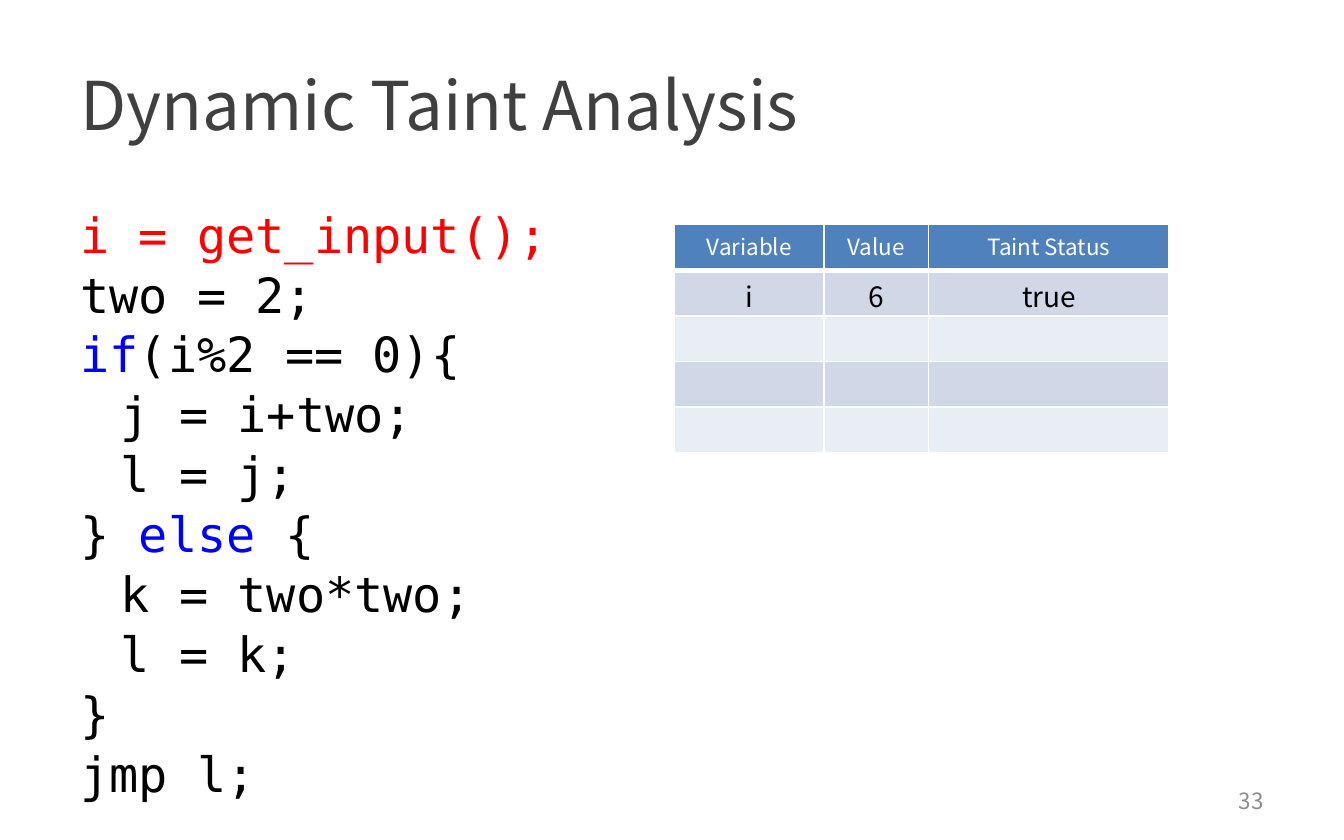
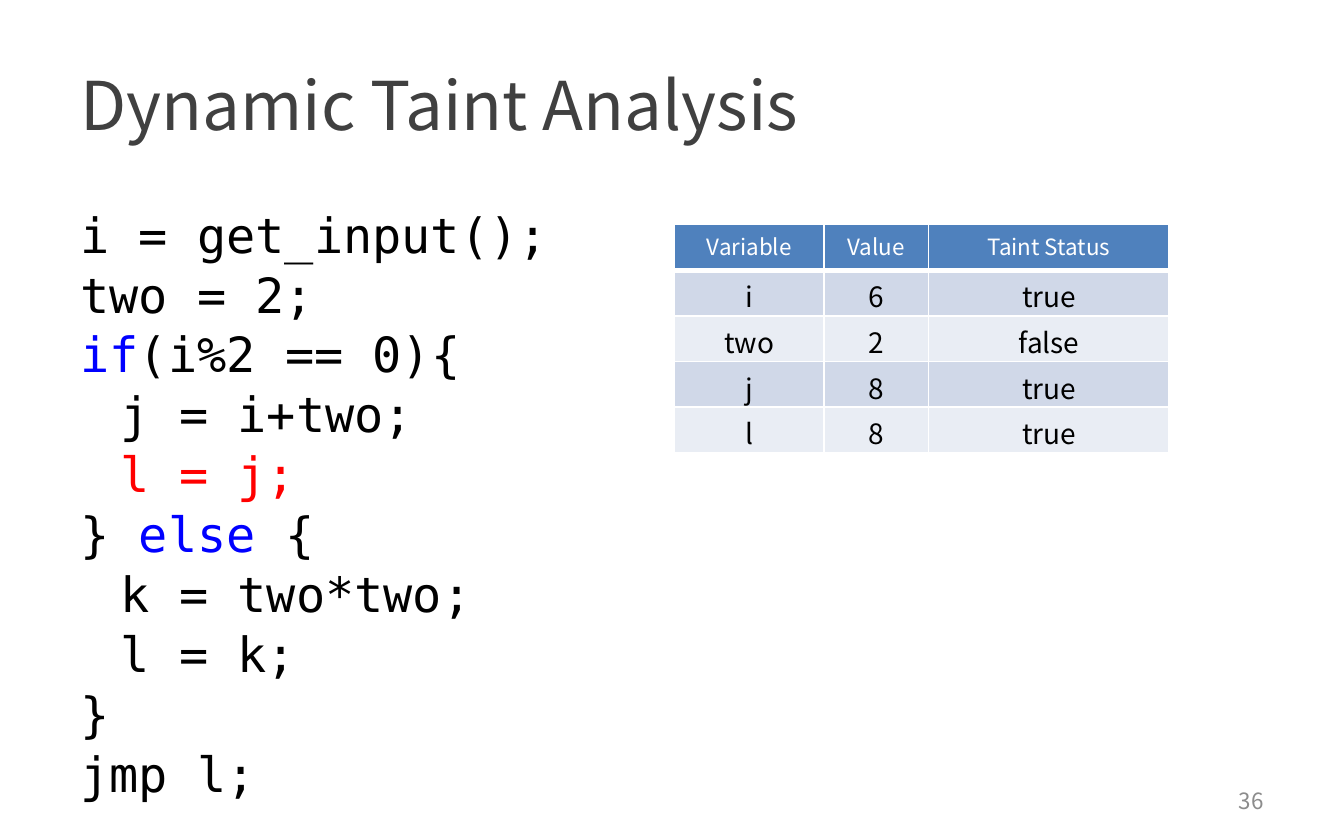
"""Build two steps of a dynamic taint analysis walkthrough: code beside its variable table."""
from lxml import etree
from pptx import Presentation
from pptx.dml.color import RGBColor
from pptx.enum.text import MSO_ANCHOR, PP_ALIGN
from pptx.oxml.ns import qn
from pptx.util import Inches, Pt

LEFT, RIGHT, CENTER = PP_ALIGN.LEFT, PP_ALIGN.RIGHT, PP_ALIGN.CENTER
TOP, MIDDLE = MSO_ANCHOR.TOP, MSO_ANCHOR.MIDDLE

WHITE = RGBColor(0xFF, 0xFF, 0xFF)
BLACK = RGBColor(0x00, 0x00, 0x00)
TITLE_GRAY = RGBColor(0x40, 0x40, 0x40)
NUMBER_GRAY = RGBColor(0x8C, 0x8C, 0x8C)
CURRENT_RED = RGBColor(0xFF, 0x00, 0x00)
KEYWORD_BLUE = RGBColor(0x00, 0x00, 0xFF)
HEADER_BLUE = RGBColor(0x4F, 0x81, 0xBD)
BANDS = [RGBColor(0xD0, 0xD8, 0xE8), RGBColor(0xE9, 0xED, 0xF4)]

SANS, MONO = "Noto Sans CJK SC", "DejaVu Sans Mono"
MARGIN = 0.5
INDENT = Inches(0.3)
COLUMNS = [1.11, 0.78, 1.79]
ROW_HEIGHT = 0.34

HEADER = ["Variable", "Value", "Taint Status"]
CODE = [
    (0, ["i = get_input();"]),
    (0, ["two = 2;"]),
    (0, ["if", "(i%2 == 0){"]),
    (1, ["j = i+two;"]),
    (1, ["l = j;"]),
    (0, ["} ", "else", " {"]),
    (1, ["k = two*two;"]),
    (1, ["l = k;"]),
    (0, ["}"]),
    (0, ["jmp l;"]),
]
KEYWORDS = {"if", "else"}
STATES = [["i", "6", "true"], ["two", "2", "false"], ["j", "8", "true"], ["l", "8", "true"]]
STEPS = [("33", 0, 1), ("36", 4, 4)]


def add_text(slide, box, anchor, lines, font_name, size, align=LEFT):
    """Add a text box; each line is a level and a list of (text, colour) runs."""
    frame = slide.shapes.add_textbox(*(Inches(length) for length in box)).text_frame
    frame.word_wrap = True
    frame.vertical_anchor = anchor
    for index, (level, runs) in enumerate(lines):
        paragraph = frame.add_paragraph() if index else frame.paragraphs[0]
        paragraph.alignment = align
        if level:
            paragraph.level = level
            paragraph._p.get_or_add_pPr().set("marL", str(INDENT * level))
        paragraph.font.name = font_name
        paragraph.font.size = Pt(size)
        for text, color in runs:
            run = paragraph.add_run()
            run.text = text
            if len(runs) > 1:
                run.font.color.rgb = color
            else:
                paragraph.font.color.rgb = color
    return frame


def add_borders(cell, bottom_width):
    """Draw white cell borders, 1 pt except at the bottom."""
    properties = cell._tc.get_or_add_tcPr()
    for side, width in (("L", 1), ("R", 1), ("T", 1), ("B", bottom_width)):
        line = etree.SubElement(properties, qn(f"a:ln{side}"), w=str(Pt(width)))
        fill = etree.SubElement(line, qn("a:solidFill"))
        etree.SubElement(fill, qn("a:srgbClr"), val=str(WHITE))


deck = Presentation()
deck.slide_width, deck.slide_height = Inches(10), Inches(6.25)
blank = deck.slide_layouts[6]

for number, current_line, known_states in STEPS:
    slide = deck.slides.add_slide(blank)
    add_text(slide, (MARGIN, 0.25, 9, 1.04), MIDDLE,
             [(0, [("Dynamic Taint Analysis", TITLE_GRAY)])], SANS, 36)

    code_lines = []
    for index, (level, parts) in enumerate(CODE):
        plain = CURRENT_RED if index == current_line else BLACK
        code_lines.append((level, [(part, KEYWORD_BLUE if part in KEYWORDS else plain)
                                   for part in parts]))
    code = add_text(slide, (MARGIN, 1.46, 4.42, 4.12), TOP, code_lines, MONO, 26)
    for paragraph in code.paragraphs:
        paragraph.line_spacing = 1.03

    rows = [HEADER] + STATES[:known_states]
    rows += [[""] * len(HEADER)] * (len(STATES) - known_states)
    table = slide.shapes.add_table(
        len(rows), len(COLUMNS), Inches(5.02), Inches(1.67),
        Inches(sum(COLUMNS)), Inches(ROW_HEIGHT * len(rows))).table
    for column, width in zip(table.columns, COLUMNS):
        column.width = Inches(width)
    for row_index, row in enumerate(rows):
        is_header = row_index == 0
        table.rows[row_index].height = Inches(ROW_HEIGHT)
        for column_index, value in enumerate(row):
            cell = table.cell(row_index, column_index)
            cell.margin_top = cell.margin_bottom = Inches(0.04)
            add_borders(cell, 3 if is_header else 1)
            cell.fill.solid()
            cell.fill.fore_color.rgb = HEADER_BLUE if is_header else BANDS[(row_index - 1) % 2]
            cell.text = value
            paragraph = cell.text_frame.paragraphs[0]
            paragraph.alignment = CENTER
            paragraph.font.name = SANS
            paragraph.font.size = Pt(12 if is_header else 15)
            paragraph.font.bold = False
            paragraph.font.color.rgb = WHITE if is_header else BLACK

    add_text(slide, (7.17, 5.79, 2.33, 0.33), MIDDLE,
             [(0, [(number, NUMBER_GRAY)])], SANS, 12, RIGHT)

deck.save("out.pptx")
